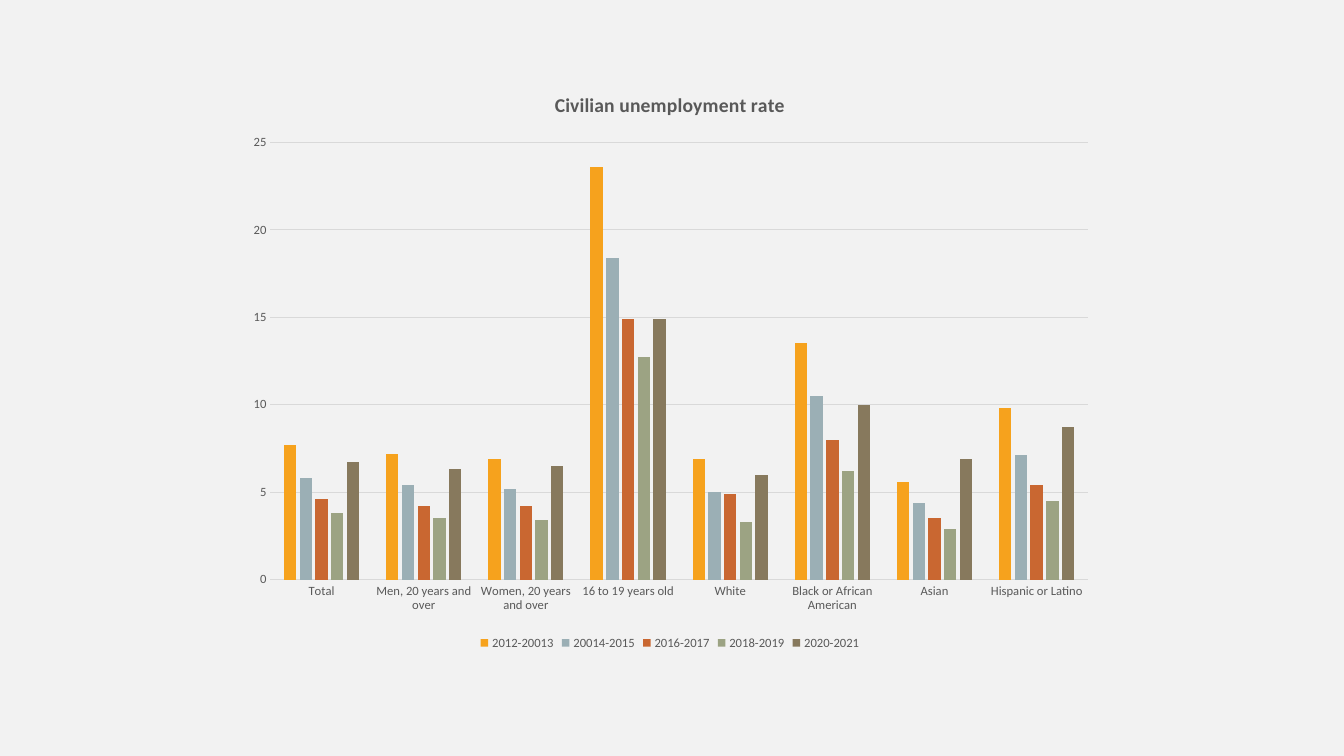
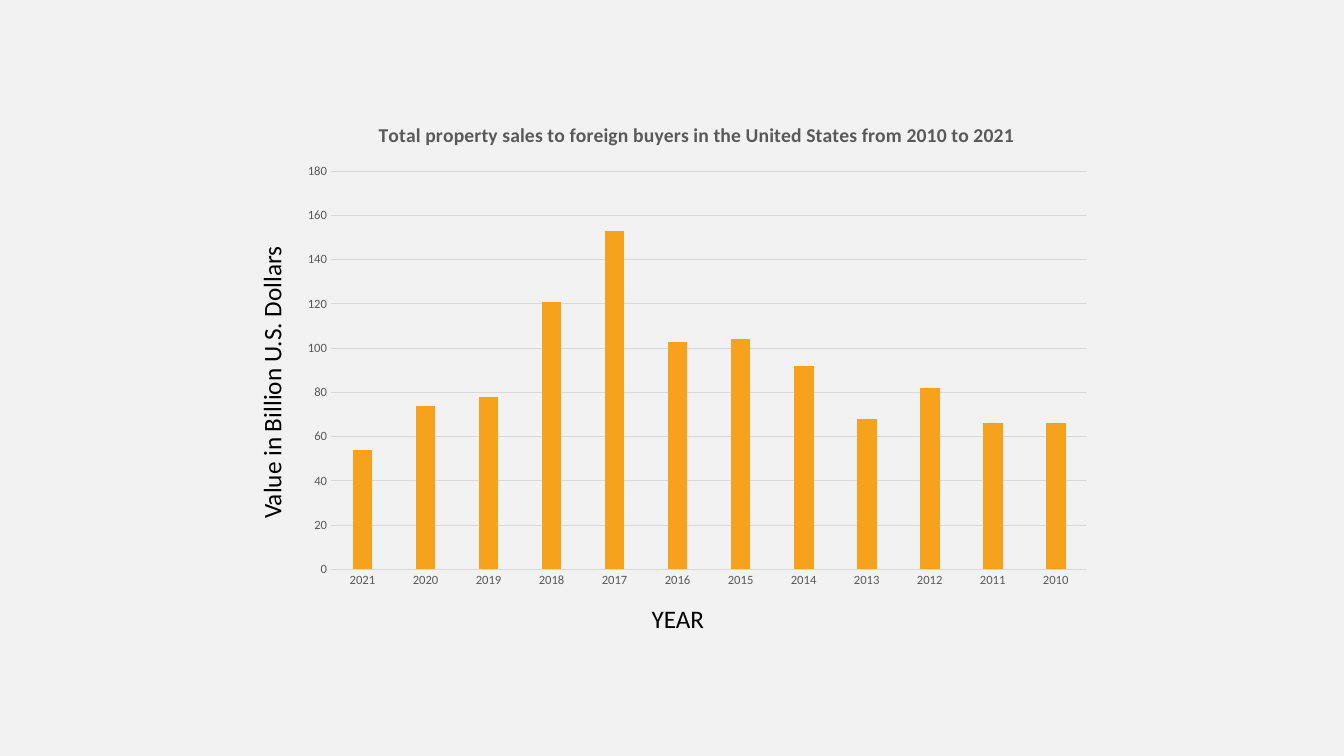
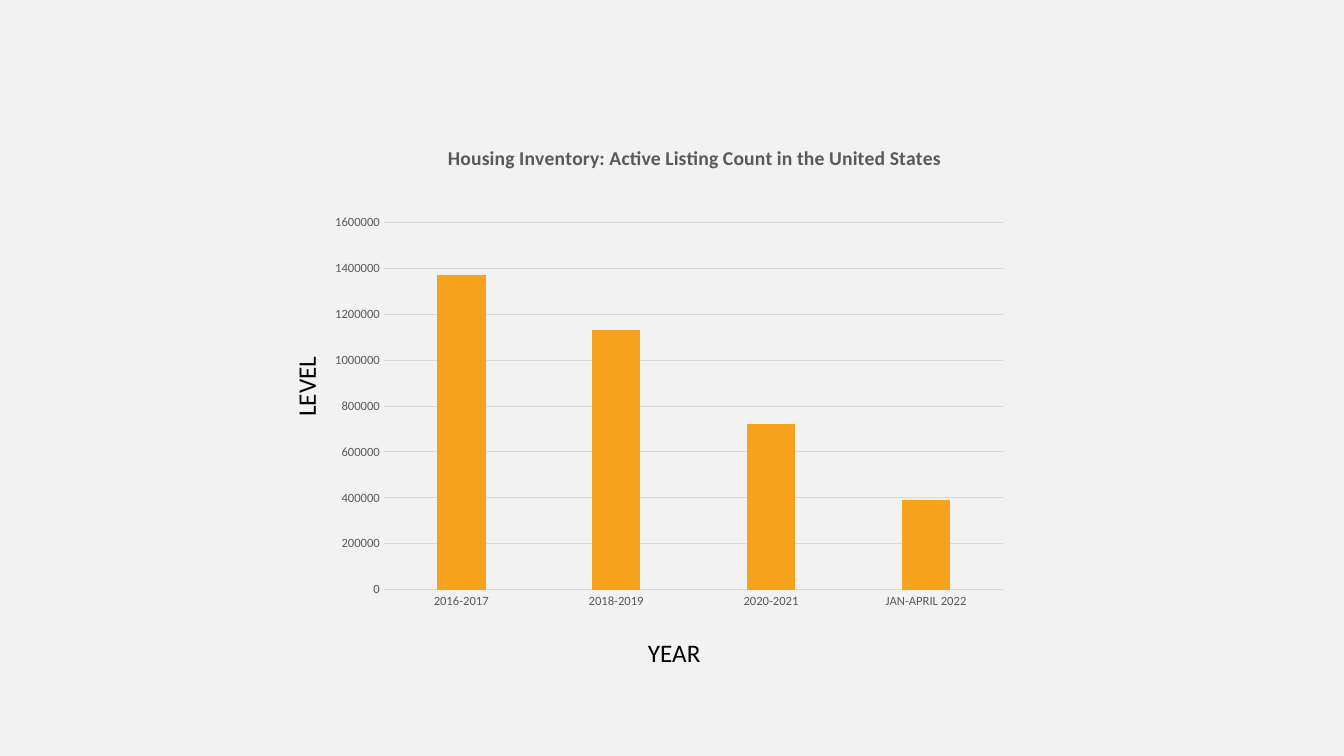
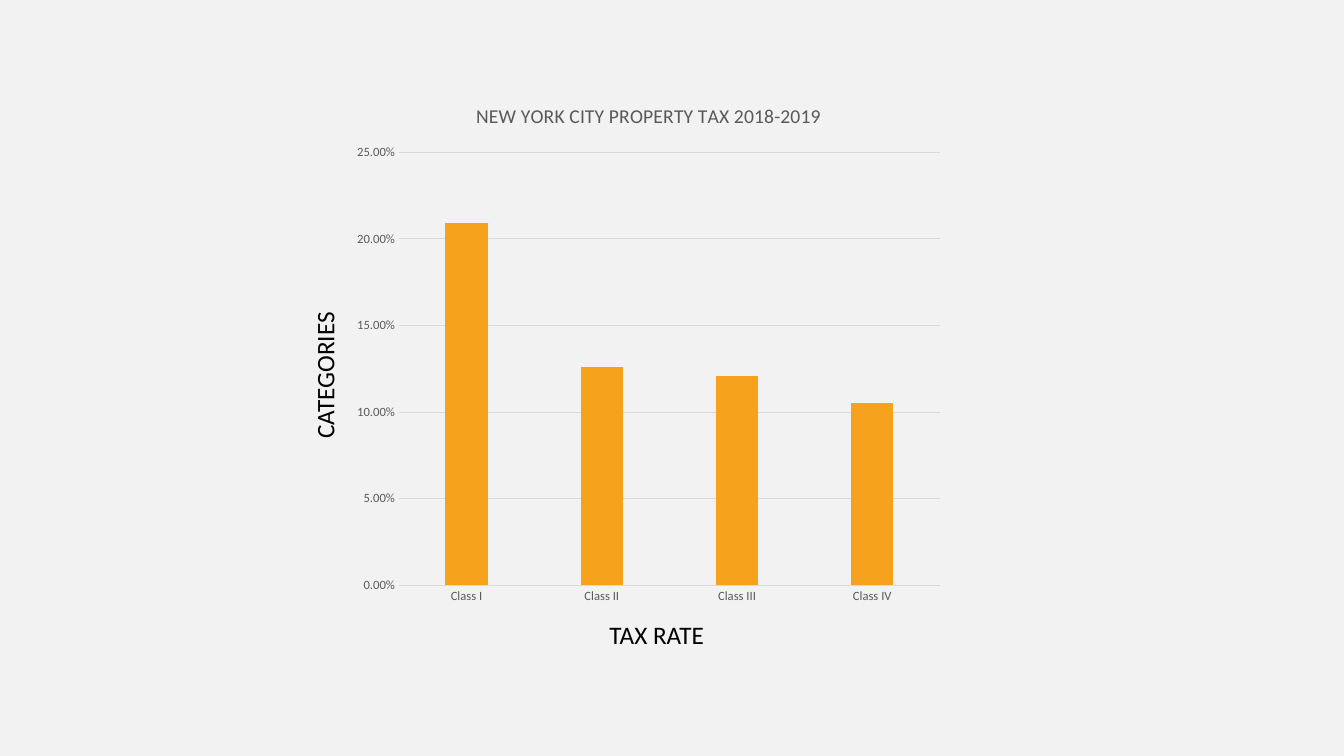
from lxml import etree
from pptx import Presentation
from pptx.chart.data import CategoryChartData
from pptx.dml.color import RGBColor
from pptx.enum.chart import XL_CHART_TYPE, XL_LEGEND_POSITION, XL_TICK_MARK
from pptx.oxml.ns import qn
from pptx.util import Cm, Pt

CLUSTERED = XL_CHART_TYPE.COLUMN_CLUSTERED
LEGEND_BOTTOM = XL_LEGEND_POSITION.BOTTOM
NO_TICK = XL_TICK_MARK.NONE

FONT = "Calibri"
BACKGROUND, GREY, GRID, BLACK = "F2F2F2", "595959", "D9D9D9", "000000"
SERIES_COLORS = ["F6A21D", "9BAFB5", "C96731", "9CA383", "87795D"]
LABEL_HEIGHT = 1.02


def color(hex_string):
    return RGBColor.from_string(hex_string)


def style_font(font, size, hex_string, bold=False):
    font.name, font.size, font.bold = FONT, Pt(size), bold
    font.color.rgb = color(hex_string)


# Content: frames in cm, plot areas and title positions in percent of the chart,
# axis labels as (text, left, top, width, rotation)
slides = [
    {
        "title": "Civilian unemployment rate",
        "title_at": None,
        "bold": True,
        "frame": (5.94, 1.78, 21.89, 14.71),
        "plot": (4, 12.3, 94.1, 74.9),
        "format": "General",
        "categories": ["Total", "Men, 20 years and over", "Women, 20 years and over",
                       "16 to 19 years old", "White", "Black or African American",
                       "Asian", "Hispanic or Latino"],
        "series": {
            "2012-20013": [7.7, 7.2, 6.9, 23.6, 6.9, 13.5, 5.6, 9.8],
            "20014-2015": [5.8, 5.4, 5.2, 18.4, 5, 10.5, 4.4, 7.1],
            "2016-2017": [4.6, 4.2, 4.2, 14.9, 4.9, 8, 3.5, 5.4],
            "2018-2019": [3.8, 3.5, 3.4, 12.7, 3.3, 6.2, 2.9, 4.5],
            "2020-2021": [6.7, 6.3, 6.5, 14.9, 6, 10, 6.9, 8.7],
        },
        "labels": [],
    },
    {
        "title": "Total property sales to foreign buyers in the United States from 2010 to 2021",
        "title_at": None,
        "bold": True,
        "frame": (7.34, 2.59, 20.45, 12.5),
        "plot": (4.9, 13.8, 93.2, 80.3),
        "format": "General",
        "categories": [str(year) for year in range(2021, 2009, -1)],
        "series": {"Series 1": [54, 74, 78, 121, 153, 103, 104, 92, 68, 82, 66, 66]},
        "labels": [("Value in Billion U.S. Dollars", 3.02, 8.99, 7.65, 270),
                   ("YEAR", 16.17, 15.08, 5, 0)],
    },
    {
        "title": "Housing Inventory: Active Listing Count in the United States",
        "title_at": (23.6, 3.3),
        "bold": True,
        "frame": (6.81, 3.12, 18.59, 12.83),
        "plot": (15.4, 19.4, 84, 72.1),
        "format": "0",
        "categories": ["2016-2017", "2018-2019", "2020-2021", "JAN-APRIL 2022"],
        "series": {"Series 1": [1370000, 1130000, 720000, 390000]},
        "labels": [("LEVEL", 6.15, 8.68, 3.12, 270), ("YEAR", 16.08, 15.93, 2.97, 0)],
    },
    {
        "title": "NEW YORK CITY PROPERTY TAX 2018-2019",
        "title_at": None,
        "bold": False,
        "frame": (8.69, 2.08, 15.32, 13.41),
        "plot": (8.9, 13.1, 89, 81.4),
        "format": "0.00%",
        "categories": ["Class I", "Class II", "Class III", "Class IV"],
        "series": {"Series 1": [0.209, 0.126, 0.121, 0.105]},
        "labels": [("TAX RATE", 15.11, 15.49, 6.2, 0),
                   ("CATEGORIES", 5.33, 7.95, 5.69, 270)],
    },
]

# Deck with one shared background
deck = Presentation()
deck.slide_width, deck.slide_height = Cm(33.87), Cm(19.05)
background = deck.slide_master.background.fill
background.solid()
background.fore_color.rgb = color(BACKGROUND)
blank_layout = deck.slide_layouts[6]

for content in slides:
    page = deck.slides.add_slide(blank_layout)

    # Chart and its data
    data = CategoryChartData(number_format=content["format"])
    data.categories = content["categories"]
    for name, values in content["series"].items():
        data.add_series(name, values)
    frame = [Cm(length) for length in content["frame"]]
    chart = page.shapes.add_chart(CLUSTERED, *frame, data).chart
    style_font(chart.font, 10, BLACK)

    # Title
    chart.has_title = True
    title = chart.chart_title.text_frame
    title.text = content["title"]
    style_font(title.paragraphs[0].font, 14, GREY, content["bold"])

    # Columns
    plot = chart.plots[0]
    plot.gap_width, plot.overlap, plot.vary_by_categories = 219, -27, False
    for series, hex_string in zip(plot.series, SERIES_COLORS):
        series.format.fill.solid()
        series.format.fill.fore_color.rgb = color(hex_string)

    # Axes
    for axis in (chart.category_axis, chart.value_axis):
        axis.major_tick_mark = axis.minor_tick_mark = NO_TICK
        style_font(axis.tick_labels.font, 9, GREY)
    chart.value_axis.tick_labels.number_format = content["format"]
    chart.value_axis.tick_labels.number_format_is_linked = False
    chart.value_axis.format.line.fill.background()
    for line in (chart.category_axis.format.line,
                 chart.value_axis.major_gridlines.format.line):
        line.color.rgb = color(GRID)
        line.width = Pt(0.75)

    # Legend, only where series need telling apart
    chart.has_legend = len(content["series"]) > 1
    if chart.has_legend:
        chart.legend.position = LEGEND_BOTTOM
        chart.legend.include_in_layout = False
        style_font(chart.legend.font, 9, GREY)

    # Fixed inner plot area and, where given, title position
    modes = [("xMode", "edge"), ("yMode", "edge")]
    plot_area = plot._element.getparent()
    placements = [(plot_area, 0, [("layoutTarget", "inner")] + modes, content["plot"])]
    if content["title_at"]:
        placements.append((chart.chart_title._element, 1, modes, content["title_at"]))
    for parent, index, settings, percents in placements:
        layout = parent.find(qn("c:layout"))
        if layout is None:
            layout = etree.Element(qn("c:layout"))
            parent.insert(index, layout)
        manual = etree.SubElement(layout, qn("c:manualLayout"))
        shares = [(key, f"{percent / 100:.3f}") for key, percent in zip("xywh", percents)]
        for tag, value in settings + shares:
            etree.SubElement(manual, qn(f"c:{tag}")).set("val", value)

    # Axis labels
    for text, left, top, width, rotation in content["labels"]:
        box = page.shapes.add_textbox(Cm(left), Cm(top), Cm(width), Cm(LABEL_HEIGHT))
        box.rotation = rotation
        box.text_frame.word_wrap = True
        para = box.text_frame.paragraphs[0]
        para.text = text
        style_font(para.font, 18, BLACK)

deck.save("out.pptx")
